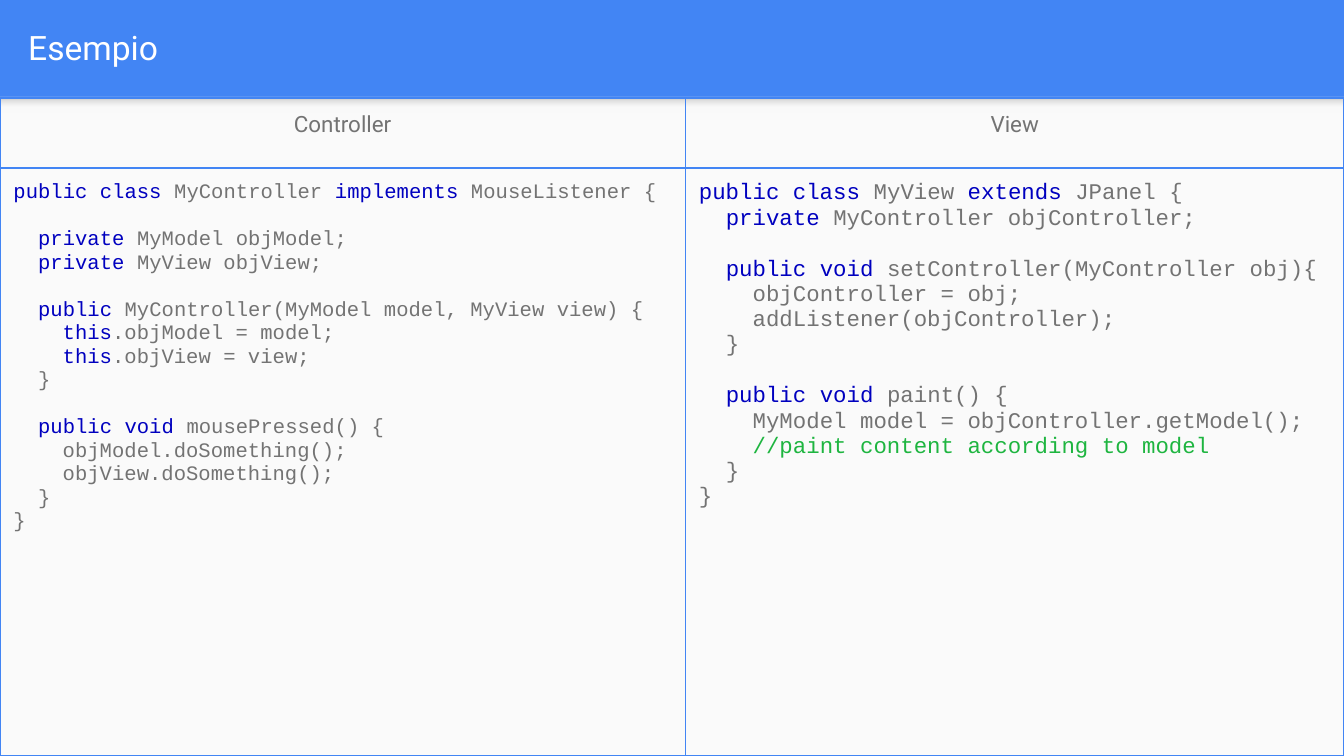
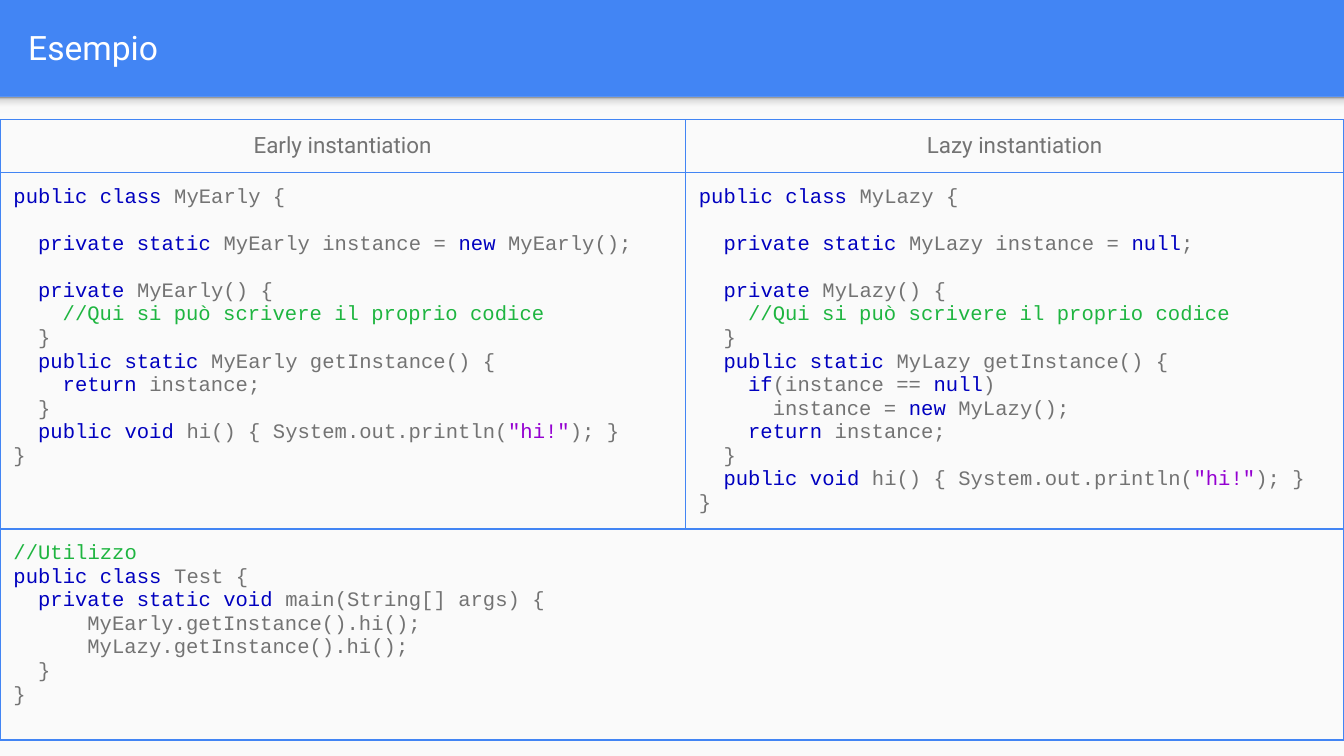
import dataclasses
import itertools

import lxml.etree
import pptx
import pptx.dml.color
import pptx.enum.shapes
import pptx.enum.text
import pptx.oxml.ns
import pptx.util

Inches = pptx.util.Inches
Pt = pptx.util.Pt
qn = pptx.oxml.ns.qn


@dataclasses.dataclass(frozen=True)
class Theme:
    accent: str = "4285F4"
    paper: str = "FAFAFA"
    title: str = "FFFFFF"
    plain: str = "737373"
    keyword: str = "0000BF"
    comment: str = "1EB540"
    string: str = "9400D1"
    shade: tuple = ((0, "F9F9F9"), (36, "F9F9F9"), (80, "DEDEDE"), (100, "999999"))
    text_font: str = "Roboto"
    code_font: str = "Courier New"
    title_size: int = 18
    heading_size: int = 12
    code_size: int = 11
    large_code_size: int = 12
    border: float = 0.75
    inset: float = 0.1
    char_width: float = 0.6    # of the code size
    line_height: float = 1.14  # of the code size


THEME = Theme()
SLIDE_WIDTH = 10
SLIDE_HEIGHT = SLIDE_WIDTH * 9 / 16
TITLE_BOX = (0.11, 0.02, 9.65, 0.66)
PAPER_BOX = (0, 0.72, SLIDE_WIDTH, 4.91)
SHADE_HEIGHT = 0.12
COLUMNS = (5.1, 4.9)
KEYWORDS = set("public private static void class implements extends "
               "this new return if null".split())

CONTROLLER = """\
public class MyController implements MouseListener {

  private MyModel objModel;
  private MyView objView;

  public MyController(MyModel model, MyView view) {
    this.objModel = model;
    this.objView = view;
  }

  public void mousePressed() {
    objModel.doSomething();
    objView.doSomething();
  }
}"""

VIEW = """\
public class MyView extends JPanel {
  private MyController objController;

  public void setController(MyController obj){
    objController = obj;
    addListener(objController);
  }

  public void paint() {
    MyModel model = objController.getModel();
    //paint content according to model
  }
}"""

SINGLETON = """\
public class {name} {{

  private static {name} instance = {initial};

  private {name}() {{
    //Qui si può scrivere il proprio codice
  }}
  public static {name} getInstance() {{
{body}
  }}
  public void hi() {{ System.out.println("hi!"); }}
}}"""

EARLY = SINGLETON.format(name="MyEarly", initial="new MyEarly()",
                         body="    return instance;")
LAZY = SINGLETON.format(name="MyLazy", initial="null", body="""\
    if(instance == null)
      instance = new MyLazy();
    return instance;""")

USAGE = """\
//Utilizzo
public class Test {
  private static void main(String[] args) {
      MyEarly.getInstance().hi();
      MyLazy.getInstance().hi();
  }
}"""


def rgb(value):
    return pptx.dml.color.RGBColor.from_string(value)


def set_all(target, values):
    for name, value in values.items():
        setattr(target, name, value)


def margins():
    return {f"margin_{side}": Inches(THEME.inset)
            for side in ("left", "top", "right", "bottom")}


def add_run(paragraph, text, font, size, color):
    run = paragraph.add_run()
    run.text = text
    set_all(run.font, {"name": font, "size": Pt(size), "bold": False})
    run.font.color.rgb = rgb(color)


def tokens(line):
    """Yield pieces of a code line, each with its colour."""
    code, slashes, comment = line.partition("//")
    color = THEME.plain
    for position, part in enumerate(code.split('"')):
        if position % 2:
            yield f'"{part}"', THEME.string
            continue
        for _, letters in itertools.groupby(part, str.isalnum):
            word = "".join(letters)
            if not word.isspace():
                color = THEME.keyword if word in KEYWORDS else THEME.plain
            yield word, color
    if slashes:
        yield slashes + comment, THEME.comment


def write_heading(cell, text):
    paragraph = cell.text_frame.paragraphs[0]
    paragraph.alignment = pptx.enum.text.PP_ALIGN.CENTER
    add_run(paragraph, text, THEME.text_font, THEME.heading_size, THEME.plain)


def write_code(cell, source, size):
    """Write coloured code, with empty lines as spacing and indents as margins."""
    paragraph, gap = cell.text_frame.paragraphs[0], False
    for number, line in enumerate(source.splitlines()):
        if not line:
            gap = True
            continue
        if number:
            paragraph = cell.text_frame.add_paragraph()
        if gap:
            paragraph.space_before = Pt(size * THEME.line_height)
        gap = False
        code = line.lstrip()
        indent = Pt((len(line) - len(code)) * THEME.char_width * size)
        properties = paragraph._p.get_or_add_pPr()
        properties.set("marL", str(int(indent)))
        properties.set("indent", "0")
        for color, pieces in itertools.groupby(tokens(code), lambda token: token[1]):
            text = "".join(piece for piece, _ in pieces)
            add_run(paragraph, text, THEME.code_font, size, color)


def format_cell(cell):
    set_all(cell, margins())
    properties = cell._tc.get_or_add_tcPr()
    for side in "LRTB":
        edge = lxml.etree.SubElement(properties, qn(f"a:ln{side}"),
                                     w=str(int(Pt(THEME.border))),
                                     cap="flat", cmpd="sng")
        fill = lxml.etree.SubElement(edge, qn("a:solidFill"))
        lxml.etree.SubElement(fill, qn("a:srgbClr"), val=THEME.accent)
        lxml.etree.SubElement(edge, qn("a:prstDash"), val="solid")
    cell.fill.background()


def add_panel(slide, box):
    panel = slide.shapes.add_shape(pptx.enum.shapes.MSO_SHAPE.RECTANGLE,
                                   *map(Inches, box))
    panel.shadow.inherit = False
    panel.line.fill.background()
    return panel


def add_paper(slide, box):
    """Add the light page area with the shade that the title band casts on it."""
    paper = add_panel(slide, box)
    paper.fill.solid()
    paper.fill.fore_color.rgb = rgb(THEME.paper)

    left, top, width, _ = box
    shade = add_panel(slide, (left, top, width, SHADE_HEIGHT))
    shade.fill.gradient()
    shade.fill.gradient_angle = 90
    stops = shade._element.spPr.find(".//" + qn("a:gsLst"))
    stops.clear()
    for percent, color in THEME.shade:
        stop = lxml.etree.SubElement(stops, qn("a:gs"), pos=str(percent * 1000))
        lxml.etree.SubElement(stop, qn("a:srgbClr"), val=color)


def place_title(slide, text, box):
    title = slide.shapes.title
    set_all(title, dict(zip(("left", "top", "width", "height"), map(Inches, box))))
    set_all(title.text_frame, {
        **margins(), "word_wrap": True,
        "auto_size": pptx.enum.text.MSO_AUTO_SIZE.NONE,
        "vertical_anchor": pptx.enum.text.MSO_ANCHOR.MIDDLE})
    paragraph = title.text_frame.paragraphs[0]
    paragraph.alignment = pptx.enum.text.PP_ALIGN.LEFT
    add_run(paragraph, text, THEME.text_font, THEME.title_size, THEME.title)


def add_comparison(slide, top, heights, headings, listings, sizes, footer=None):
    """Add two code listings side by side, and one across both if given."""
    table = slide.shapes.add_table(
        len(heights), len(COLUMNS), 0, Inches(top),
        Inches(sum(COLUMNS)), Inches(sum(heights))).table
    set_all(table, {"first_row": False, "horz_banding": False})
    for column, width in zip(table.columns, COLUMNS):
        column.width = Inches(width)
    for row, height in zip(table.rows, heights):
        row.height = Inches(height)
    for cell in table.iter_cells():
        format_cell(cell)
    for index, (heading, listing, size) in enumerate(zip(headings, listings, sizes)):
        write_heading(table.cell(0, index), heading)
        write_code(table.cell(1, index), listing, size)
    if footer:
        table.cell(2, 0).merge(table.cell(2, 1))
        write_code(table.cell(2, 0), footer, THEME.code_size)


def add_example_slide(deck, **comparison):
    slide = deck.slides.add_slide(deck.slide_layouts.get_by_name("Title Only"))
    add_paper(slide, PAPER_BOX)
    place_title(slide, "Esempio", TITLE_BOX)
    add_comparison(slide, **comparison)


def main():
    deck = pptx.Presentation()
    set_all(deck, {"slide_width": Inches(SLIDE_WIDTH),
                   "slide_height": Inches(SLIDE_HEIGHT)})
    background = deck.slide_master.background.fill
    background.solid()
    background.fore_color.rgb = rgb(THEME.accent)

    add_example_slide(deck, top=0.73, heights=(0.52, 4.37),
                      headings=("Controller", "View"),
                      listings=(CONTROLLER, VIEW),
                      sizes=(THEME.code_size, THEME.large_code_size))
    add_example_slide(deck, top=0.89, heights=(0.38, 2.09, 1.57),
                      headings=("Early instantiation", "Lazy instantiation"),
                      listings=(EARLY, LAZY),
                      sizes=(THEME.code_size, THEME.code_size),
                      footer=USAGE)
    deck.save("out.pptx")


if __name__ == "__main__":
    main()
